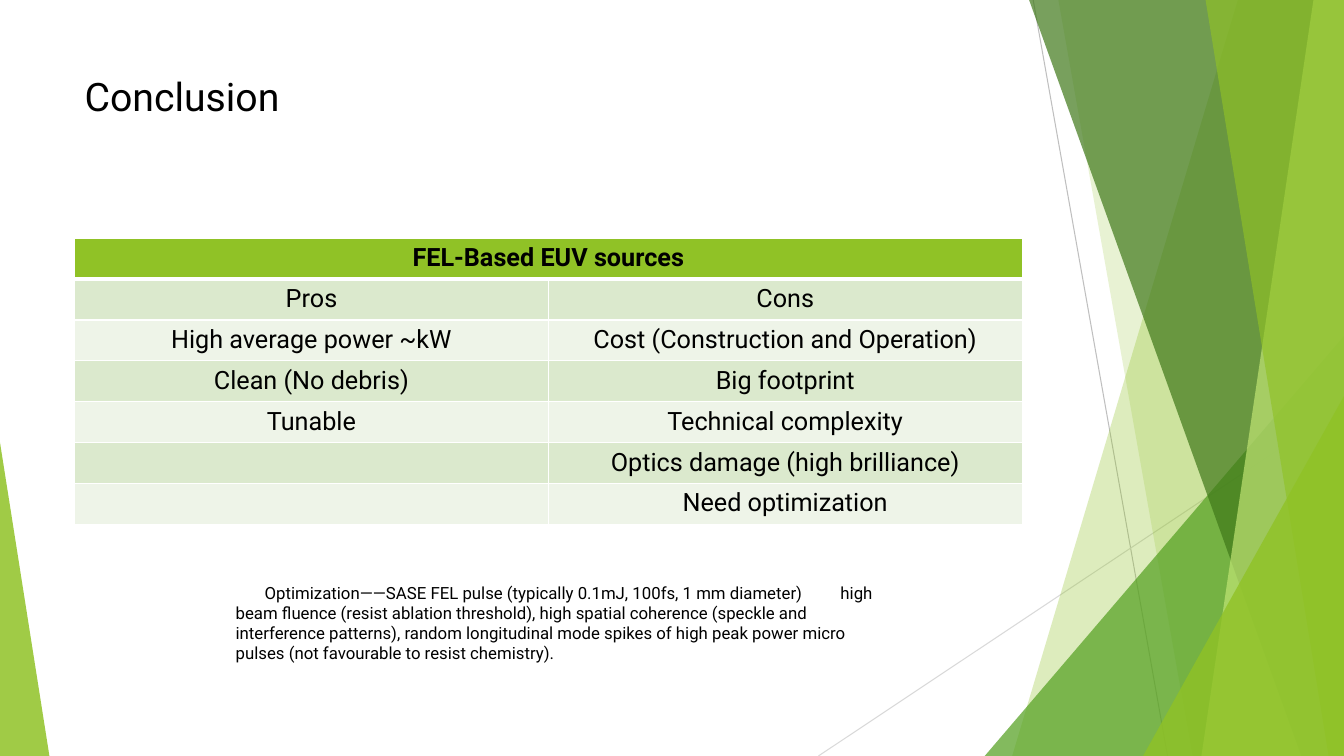
"""Build the conclusion slide on the pros and cons of FEL-based EUV sources."""
from dataclasses import dataclass

from lxml import etree
from pptx import Presentation
from pptx.dml.color import RGBColor
from pptx.enum import shapes, text
from pptx.oxml import ns
from pptx.util import Pt

TITLE = "Conclusion"
HEADING = "FEL-Based EUV sources"
ROWS = [
    ("Pros", "Cons"),
    ("High average power ~kW", "Cost (Construction and Operation)"),
    ("Clean (No debris)", "Big footprint"),
    ("Tunable", "Technical complexity"),
    ("", "Optics damage (high brilliance)"),
    ("", "Need optimization"),
]
NOTE = (
    "Optimization——SASE FEL pulse (typically 0.1mJ, 100fs, 1 mm diameter)\t"
    "high beam fluence (resist ablation threshold), high spatial coherence "
    "(speckle and interference patterns), random longitudinal mode spikes of "
    "high peak power micro pulses (not favourable to resist chemistry)."
)


@dataclass(frozen=True)
class Theme:
    """Colours, font and type sizes."""
    font: str = "Roboto"
    ink: str = "000000"
    white: str = "FFFFFF"
    lime: str = "90C226"
    pale_lime: str = "C0E474"
    green: str = "54A021"
    dark_green: str = "3F7819"
    bands: tuple = ("DBE9CD", "EEF4E8")
    title_size: int = 28
    table_size: int = 18
    note_size: int = 12


THEME = Theme()
WIDTH, HEIGHT = 960, 540
LEFT, CONTENT_WIDTH = 53.3, 676.8
TABLE_TOP, ROW_HEIGHT = 170.2, 29.2
NOTE_INDENT, NOTE_TAB = 20.7, 423

RAYS = [
    ((738, 0), (834, HEIGHT), "BFBFBF"),
    ((WIDTH, 290), (584.6, HEIGHT), "D9D9D9"),
]
FACETS = [
    ("band", 884.2, 723, THEME.lime, 30),
    ("band", 756, 851.8, THEME.lime, 20),
    ("triangle", 703.4, 240, THEME.green, 72),
    ("band", 735.1, 929.5, THEME.dark_green, 70),
    ("band", 938.2, 858.2, THEME.pale_lime, 70),
    ("band", 861.1, 949, THEME.lime, 65),
    ("triangle", 816.5, 283, THEME.lime, 80),
]
CORNER = (35.3, 316.1)


def points(*values):
    return [Pt(value) for value in values]


def paint(shape, colour, opacity):
    shape.shadow.inherit = False
    shape.line.fill.background()
    shape.fill.solid()
    shape.fill.fore_color.rgb = RGBColor.from_string(colour)
    swatch = shape.fill._xPr.find(".//" + ns.qn("a:srgbClr"))
    etree.SubElement(swatch, ns.qn("a:alpha"), val=str(opacity * 1000))


def add_ray(page, start, end, colour):
    ray = page.shapes.add_connector(
        shapes.MSO_CONNECTOR.STRAIGHT, *points(*start, *end))
    ray.line.width = Pt(0.75)
    ray.line.color.rgb = RGBColor.from_string(colour)
    etree.SubElement(ray._element.spPr, ns.qn("a:effectLst"))


def add_band(page, top_x, bottom_x, colour, opacity):
    outline = page.shapes.build_freeform(Pt(top_x), 0, scale=1.0)
    corners = [(WIDTH, 0), (WIDTH, HEIGHT), (bottom_x, HEIGHT)]
    outline.add_line_segments([points(*corner) for corner in corners], close=True)
    paint(outline.convert_to_shape(), colour, opacity)


def add_triangle(page, left, top, width, peak, colour, opacity):
    triangle = page.shapes.add_shape(
        shapes.MSO_SHAPE.ISOSCELES_TRIANGLE,
        *points(left, top, width, HEIGHT - top))
    triangle.adjustments[0] = peak
    paint(triangle, colour, opacity)


def write(frame, words, size, bold=False, align=text.PP_ALIGN.LEFT):
    para = frame.paragraphs[0]
    para.alignment = align
    span = para.add_run()
    span.text = words
    span.font.name = THEME.font
    span.font.size = Pt(size)
    span.font.bold = bold
    span.font.color.rgb = RGBColor.from_string(THEME.ink)
    return para


def style_cell(cell, colour, bottom=1):
    properties = cell._tc.get_or_add_tcPr()
    for side, width in (("L", 1), ("R", 1), ("T", 1), ("B", bottom)):
        edge = etree.SubElement(properties, ns.qn("a:ln" + side), w=str(Pt(width)))
        fill = etree.SubElement(edge, ns.qn("a:solidFill"))
        etree.SubElement(fill, ns.qn("a:srgbClr"), val=THEME.white)
    cell.fill.solid()
    cell.fill.fore_color.rgb = RGBColor.from_string(colour)


def add_decoration(page):
    for ray in RAYS:
        add_ray(page, *ray)
    for kind, first, second, colour, opacity in FACETS:
        if kind == "band":
            add_band(page, first, second, colour, opacity)
        else:
            add_triangle(page, first, second, WIDTH - first, 1, colour, opacity)
    corner_width, corner_top = CORNER
    add_triangle(page, 0, corner_top, corner_width, 0, THEME.lime, 85)


def add_title(page):
    title = page.shapes.title
    title.left, title.top, title.width, title.height = points(
        LEFT, 48, CONTENT_WIDTH, 104)
    title.text_frame.vertical_anchor = text.MSO_ANCHOR.TOP
    write(title.text_frame, TITLE, THEME.title_size)


def add_comparison(page):
    count = len(ROWS) + 1
    table = page.shapes.add_table(
        count, 2,
        *points(LEFT, TABLE_TOP, CONTENT_WIDTH, count * ROW_HEIGHT)).table
    for row in table.rows:
        row.height = Pt(ROW_HEIGHT)
    for cell in table.rows[0].cells:
        style_cell(cell, THEME.lime, bottom=3)
    heading = table.cell(0, 0)
    heading.merge(table.cell(0, 1))
    write(heading.text_frame, HEADING, THEME.table_size, bold=True,
          align=text.PP_ALIGN.CENTER)
    for index, entries in enumerate(ROWS):
        for column, words in enumerate(entries):
            cell = table.cell(index + 1, column)
            style_cell(cell, THEME.bands[index % 2])
            if words:
                write(cell.text_frame, words, THEME.table_size,
                      align=text.PP_ALIGN.CENTER)


def add_note(page):
    box = page.shapes.add_textbox(*points(161.3, 412.6, 480.2, 65.5))
    box.text_frame.word_wrap = True
    para = write(box.text_frame, NOTE, THEME.note_size)
    properties = para._p.get_or_add_pPr()
    properties.set("marL", "0")
    properties.set("indent", str(Pt(NOTE_INDENT)))
    stops = etree.SubElement(properties, ns.qn("a:tabLst"))
    etree.SubElement(stops, ns.qn("a:tab"), pos=str(Pt(NOTE_TAB)), algn="l")


def main():
    deck = Presentation()
    deck.slide_width, deck.slide_height = points(WIDTH, HEIGHT)
    page = deck.slides.add_slide(deck.slide_layouts[5])
    add_decoration(page)
    add_title(page)
    add_comparison(page)
    add_note(page)
    deck.save("out.pptx")


if __name__ == "__main__":
    main()
